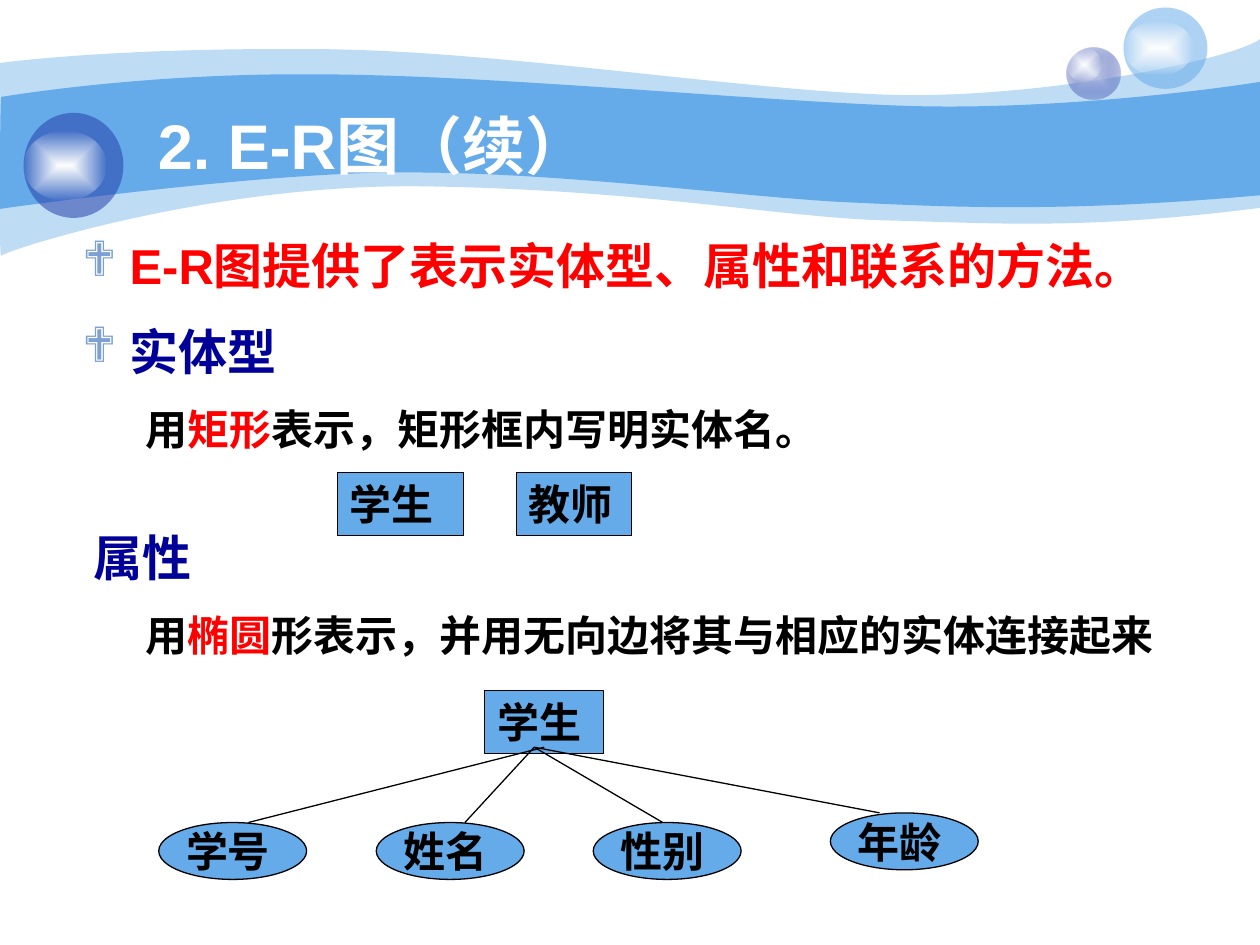
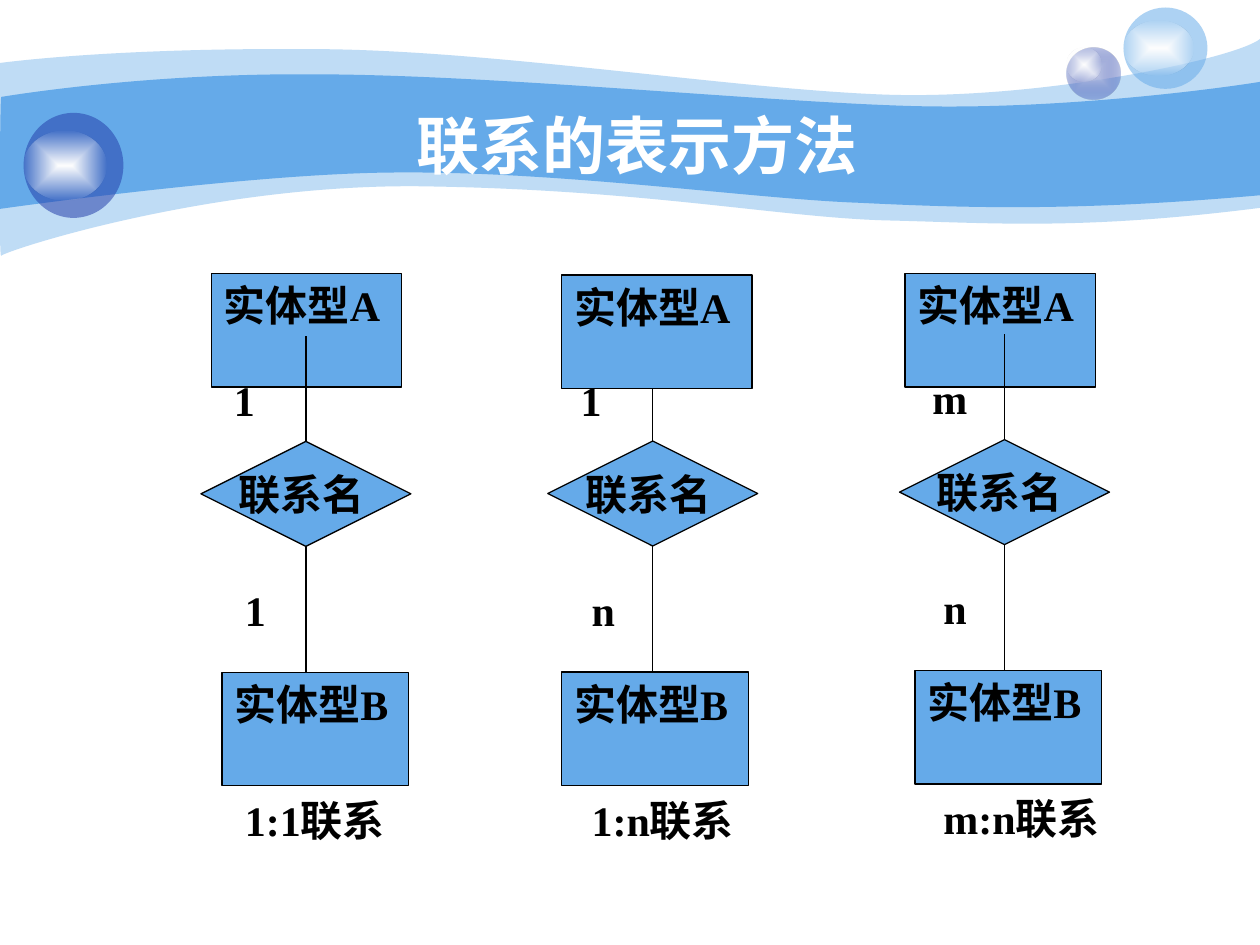
"""Builds two slides on E-R diagrams: entities with attributes, and relationships."""
from itertools import chain
from lxml.etree import SubElement
from pptx import Presentation
from pptx.dml.color import RGBColor
from pptx.enum.shapes import MSO_CONNECTOR as CONN, MSO_SHAPE as SHAPE
from pptx.enum.text import MSO_ANCHOR as ANCHOR, MSO_AUTO_SIZE as AUTO, PP_ALIGN as ALIGN
from pptx.oxml.ns import qn
from pptx.util import Pt

BLUE, NAVY, WHITE, BLACK = "65AAE9", "233DA9", "FFFFFF", "000000"
RED, HEADING, BULLET = "FF0000", "000099", "7DA0D3"
HEAD_FONT, DIAGRAM_FONT = "Arial", "Times New Roman"

PALE_WAVE = [
    [(0, 36)],
    [(17.3, 33.8), (77, 27.4), (177.8, 28.1)],
    [(277.9, 28.1), (414, 50.4), (503.3, 54)],
    [(591.8, 57.6), (705.6, 33.8), (720, 22.3)],
    [(720, 118.8)],
    [(617.8, 131.8), (566.6, 127.4), (507.6, 126)],
    [(447.8, 124.6), (370.8, 108.7), (247, 106.6)],
    [(123.8, 103.7), (2.9, 143.3), (0.7, 146.2)],
    [(-0.7, 149.8), (0, 54), (0, 36)],
]
BLUE_WAVE = [
    [(0.7, 55.4)],
    [(1.4, 55.4), (79.2, 41.8), (178.6, 42.5)],
    [(277.9, 42.5), (428.4, 57.6), (517, 60.5)],
    [(605.5, 63.4), (702.7, 49.7), (720, 46.8)],
    [(720, 111.6)],
    [(614.2, 121), (550.8, 118.8), (491, 115.9)],
    [(431.3, 113.8), (321.8, 97.9), (228.2, 98.6)],
    [(146.2, 98.6), (-1.4, 119.5), (-0.7, 119.5)],
    [(0, 119.5), (0, 55.4), (0.7, 55.4)],
]


def rgb(color):
    return RGBColor.from_string(color)


def set_alpha(color_el, percent):
    SubElement(color_el, qn("a:alpha")).set("val", str(percent * 1000))


def fill_solid(shape, color, alpha=100):
    shape.shadow.inherit = False
    shape.line.fill.background()
    shape.fill.solid()
    shape.fill.fore_color.rgb = rgb(color)
    if alpha < 100:
        set_alpha(shape.element.spPr.find(qn("a:solidFill"))[0], alpha)


def fill_glow(shape, inner, outer, outer_alpha):
    """Fill from the centre outwards, fading to a transparent colour."""
    fill_solid(shape, inner)
    solid = shape.element.spPr.find(qn("a:solidFill"))
    grad = solid.makeelement(qn("a:gradFill"), {"rotWithShape": "1"})
    solid.getparent().replace(solid, grad)
    stops = SubElement(grad, qn("a:gsLst"))
    for pos, color, alpha in ((0, inner, 100), (100, outer, outer_alpha)):
        stop = SubElement(stops, qn("a:gs"), pos=str(pos * 1000))
        color_el = SubElement(stop, qn("a:srgbClr"), val=color)
        if alpha < 100:
            set_alpha(color_el, alpha)
    rect_path = SubElement(grad, qn("a:path"))
    rect_path.set("path", "rect")
    SubElement(rect_path, qn("a:fillToRect"), {side: "50000" for side in "ltrb"})


def bend_segments(shape, segments):
    """Merge each three line steps of a cubic segment into one curve."""
    steps = iter(list(shape.element.iter(qn("a:lnTo"))))
    for seg in segments:
        lines = [next(steps) for _ in seg]
        if len(seg) == 3:
            curve = lines[0].makeelement(qn("a:cubicBezTo"), {})
            lines[0].addprevious(curve)
            for line in lines:
                curve.append(line[0])
                line.getparent().remove(line)


def add_wave(s, segments, alpha=100):
    start, *rest = [(Pt(x), Pt(y)) for x, y in chain(*segments)]
    builder = s.shapes.build_freeform(*start, scale=1.0)
    builder.add_line_segments(rest, close=True)
    wave = builder.convert_to_shape()
    bend_segments(wave, segments[1:])
    fill_solid(wave, BLUE, alpha)


def add_preset(s, kind, x, y, w, h):
    return s.shapes.add_shape(kind, Pt(x), Pt(y), Pt(w), Pt(h))


def add_backdrop(s):
    add_wave(s, PALE_WAVE, 41)
    add_wave(s, BLUE_WAVE)
    fill_glow(add_preset(s, SHAPE.OVAL, 609.5, 27, 31, 29.5), "C7CEE9", NAVY, 31)
    fill_glow(add_preset(s, SHAPE.OVAL, 609.5, 27, 20, 19.5), WHITE, WHITE, 0)
    fill_solid(add_preset(s, SHAPE.OVAL, 642, 4.3, 48, 46.5), BLUE, 53)
    fill_glow(add_preset(s, SHAPE.OVAL, 642, 12, 40, 31), WHITE, WHITE, 0)
    fill_solid(add_preset(s, SHAPE.OVAL, 13.5, 64.5, 57, 60), NAVY, 53)
    fill_glow(add_preset(s, SHAPE.OVAL, 13.5, 74.5, 47.5, 40), WHITE, WHITE, 0)


def format_font(font, size, color, name, bold=True):
    font.size, font.bold, font.name = Pt(size), bold, name
    font.color.rgb = rgb(color)


def set_indent(p, left, first=0):
    pPr = p._p.get_or_add_pPr()
    pPr.set("marL", str(Pt(left)))
    pPr.set("indent", str(Pt(first)))
    return pPr


def add_titled_slide(prs, title, align, indent=0):
    s = prs.slides.add_slide(prs.slide_layouts[5])
    add_backdrop(s)
    sp = s.shapes.title
    sp.element.getparent().append(sp.element)
    sp.left, sp.top, sp.width, sp.height = Pt(73), Pt(60), Pt(582), Pt(44.6)
    tf = sp.text_frame
    tf.text = title
    tf.auto_size, tf.vertical_anchor = AUTO.NONE, ANCHOR.MIDDLE
    p = tf.paragraphs[0]
    p.alignment = align
    set_indent(p, indent)
    format_font(p.runs[0].font, 36, WHITE, HEAD_FONT)
    return s


def add_body(s, items):
    """Add the body text from (runs, size, space before, indent, bullet) items."""
    tf = s.shapes.add_textbox(Pt(40), Pt(122.6), Pt(648), Pt(381)).text_frame
    tf.word_wrap = True
    for i, (runs, size, before, indent, bullet) in enumerate(items):
        p = tf.paragraphs[0] if i == 0 else tf.add_paragraph()
        pPr = set_indent(p, indent, -indent if bullet else 0)
        if bullet:
            SubElement(SubElement(pPr, qn("a:buClr")), qn("a:srgbClr"), val=BULLET)
            SubElement(pPr, qn("a:buFont"), typeface="Wingdings", charset="2")
            SubElement(pPr, qn("a:buChar"), char="❖")
        p.line_spacing = 1.25
        if before:
            p.space_before = Pt(before)
        for text, color in runs:
            r = p.add_run()
            r.text = text
            format_font(r.font, size, color, HEAD_FONT)


def write_label(sp, text):
    tf = sp.text_frame
    tf.text = text
    tf.word_wrap = True
    tf.vertical_anchor = ANCHOR.TOP
    p = tf.paragraphs[0]
    p.alignment = ALIGN.LEFT
    format_font(p.runs[0].font, 24, BLACK, DIAGRAM_FONT)
    return tf


def add_label(s, text, x, y, w):
    write_label(s.shapes.add_textbox(Pt(x), Pt(y), Pt(w), Pt(36)), text)


def add_node(s, kind, text, x, y, w, h):
    sp = add_preset(s, kind, x, y, w, h)
    fill_solid(sp, BLUE)
    sp.line.color.rgb = rgb(BLACK)
    sp.line.width = Pt(0.75)
    return write_label(sp, text)


def add_entity(s, text, x, y, w, h=36):
    add_node(s, SHAPE.RECTANGLE, text, x, y, w, h)


def add_centred_node(s, kind, text, x, y, w, h):
    tf = add_node(s, kind, text, x, y, w, h)
    tf.word_wrap = False
    tf.vertical_anchor = ANCHOR.MIDDLE
    tf.margin_right = Pt(12.4)
    tf.paragraphs[0].alignment = ALIGN.CENTER


def add_line(s, x1, y1, x2, y2):
    line = s.shapes.add_connector(CONN.STRAIGHT, Pt(x1), Pt(y1), Pt(x2), Pt(y2))
    line.line.color.rgb = rgb(BLACK)
    line.line.width = Pt(0.75)
    SubElement(line.element.spPr, qn("a:effectLst"))


def build_entities_slide(prs):
    s = add_titled_slide(prs, "2. E-R图（续）", ALIGN.LEFT, 10)
    add_body(s, [
        ([("E-R图提供了表示实体型、属性和联系的方法。", RED)], 28, 0, 27, True),
        ([("实体型", HEADING)], 28, 7, 27, True),
        ([("用", BLACK), ("矩形", RED), ("表示，矩形框内写明实体名。", BLACK)],
         24, 6, 36, False),
        ([("属性", HEADING)], 28, 34, 6.6, False),
        ([("用", BLACK), ("椭圆", RED),
          ("形表示，并用无向边将其与相应的实体连接起来", BLACK)], 24, 6, 36, False),
    ])
    add_entity(s, "学生", 192.8, 270, 72)
    add_entity(s, "教师", 295, 270, 66)
    add_entity(s, "学生", 277, 394.5, 68)
    attributes = [("学号", 90.7, 470, 311, 142), ("姓名", 215, 470, 305.3, 265.7),
                  ("性别", 339, 470, 305.3, 378.7), ("年龄", 474.5, 464.5, 305.3, 502.6)]
    for text, x, y, line_start, line_end in attributes:
        add_centred_node(s, SHAPE.OVAL, text, x, y, 84.5, 32.5)
        add_line(s, line_start, 427, line_end, y)


def add_relationship(s, mid, top, a_box, b_x, line_top, a_count, b_count):
    """Draw entity A, the relationship and entity B as one column."""
    add_entity(s, "实体型A", *a_box, 108.7, 64.8)
    add_centred_node(s, SHAPE.DIAMOND, "联系名", mid - 60, top, 120, 60)
    add_entity(s, "实体型B", b_x, top + 132, 106.6, 64.8)
    add_line(s, mid, top, mid, line_top)
    add_line(s, mid, top + 60, mid, top + 132)
    add_label(s, a_count, mid - 48.2, top - 41.6, 30)
    add_label(s, b_count, mid - 42, top + 78.4, 30)
    add_label(s, f"{a_count}:{b_count}联系", mid - 42, top + 198.4, 108)


def build_relationships_slide(prs):
    s = add_titled_slide(prs, "联系的表示方法", ALIGN.CENTER)
    add_relationship(s, 174.8, 252.2, (120.8, 156.4), 126.8, 192, "1", "1")
    add_relationship(s, 373, 252, (321, 157.2), 321, 222, "1", "n")
    add_relationship(s, 574, 251.2, (517.2, 156.4), 522.8, 191, "m", "n")


def main():
    prs = Presentation()
    prs.slide_width, prs.slide_height = Pt(720), Pt(540)
    build_entities_slide(prs)
    build_relationships_slide(prs)
    prs.save("out.pptx")


if __name__ == "__main__":
    main()
